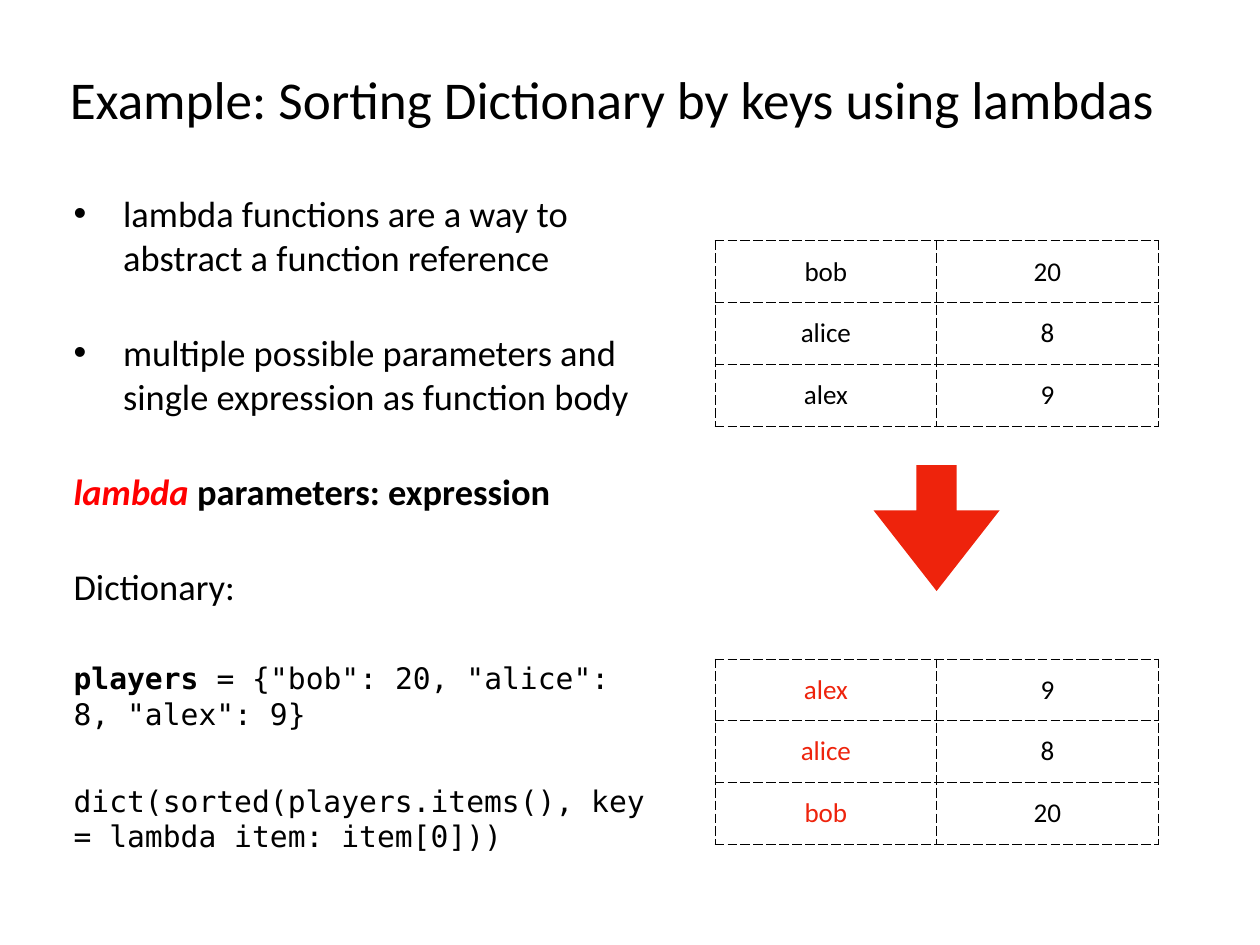
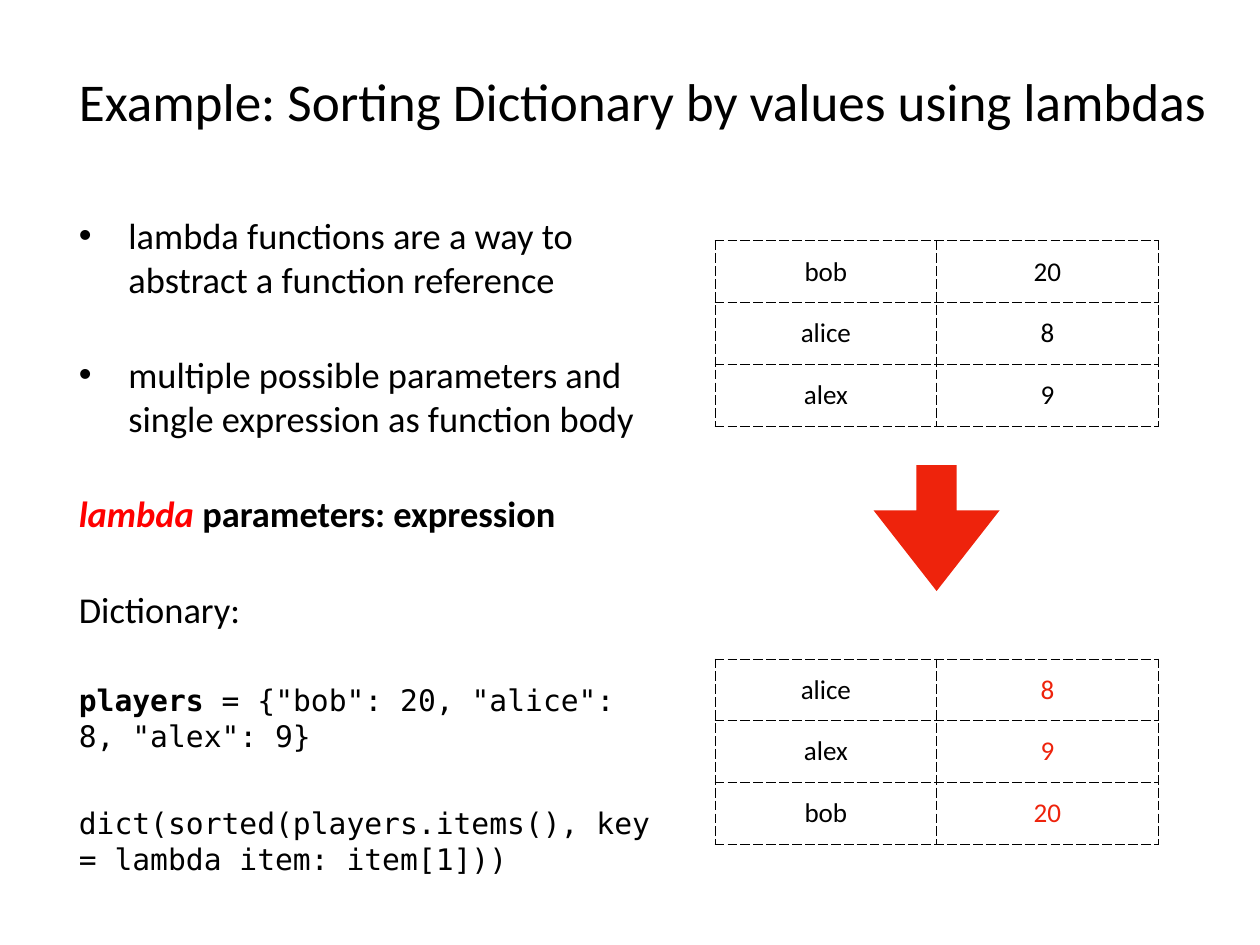
import dataclasses

import lxml.etree
import pptx
import pptx.dml.color
import pptx.enum.shapes
import pptx.enum.text
import pptx.oxml.ns
import pptx.util

Cm = pptx.util.Cm
Pt = pptx.util.Pt
qn = pptx.oxml.ns.qn


@dataclasses.dataclass(frozen=True)
class Theme:
    ink: str = "000000"
    accent: str = "EE230C"
    keyword: str = "FF0000"
    text_font: str = "Calibri"
    code_font: str = "DejaVu Sans Mono"
    title_size: float = 43.2
    body_size: float = 29.6
    code_size: float = 24.1
    cell_size: float = 22
    paragraph_gap: float = 42
    border_width: float = 1
    inset: float = 0.15
    bullet_indent: float = 1.42


@dataclasses.dataclass(frozen=True)
class Span:
    text: str
    code: bool = False
    bold: bool = False
    italic: bool = False
    color: str = ""


THEME = Theme()
PLAYERS = [("bob", 20), ("alice", 8), ("alex", 9)]
TABLE_LEFT, COLUMN_WIDTH, ROW_HEIGHT = 20.5, 6.35, 1.77
UNSORTED_TOP, SORTED_TOP = 6.91, 18.9
ARROW_TOP, ARROW_SIDE = 13.34, 3.61


def style_font(font, size, name=THEME.text_font, color=THEME.ink):
    font.size = Pt(size)
    font.name = name
    font.color.rgb = pptx.dml.color.RGBColor.from_string(color)


def set_insets(target):
    for side in ("left", "top", "right", "bottom"):
        setattr(target, f"margin_{side}", Cm(THEME.inset))


def add_title(page, text, left, top, width):
    box = page.shapes.title
    box.left, box.top, box.width, box.height = Cm(left), Cm(top), Cm(width), Cm(2.51)
    frame = box.text_frame
    frame.text = text
    frame.word_wrap = True
    frame.auto_size = pptx.enum.text.MSO_AUTO_SIZE.NONE
    frame.vertical_anchor = pptx.enum.text.MSO_ANCHOR.MIDDLE
    set_insets(frame)
    para = frame.paragraphs[0]
    para.alignment = pptx.enum.text.PP_ALIGN.LEFT
    style_font(para.runs[0].font, THEME.title_size)


def add_bullet(para):
    properties = para._p.get_or_add_pPr()
    indent = Cm(THEME.bullet_indent)
    properties.set("marL", str(indent))
    properties.set("indent", str(-indent))
    lxml.etree.SubElement(properties, qn("a:buFont")).set("typeface", "Arial")
    lxml.etree.SubElement(properties, qn("a:buChar")).set("char", "•")


def add_span(para, span):
    run = para.add_run()
    run.text = span.text
    size, name = (
        (THEME.code_size, THEME.code_font)
        if span.code
        else (THEME.body_size, THEME.text_font)
    )
    style_font(run.font, size, name, span.color or THEME.ink)
    run.font.bold = span.bold
    run.font.italic = span.italic


def add_body(page, left, top, item_index):
    content = [
        (True, [Span("lambda functions are a way to abstract a function reference")]),
        (True, [Span("multiple possible parameters and single expression as function body")]),
        (False, [
            Span("lambda ", bold=True, italic=True, color=THEME.keyword),
            Span("parameters: expression", bold=True),
        ]),
        (False, [Span("Dictionary:")]),
        (False, [
            Span("players", code=True, bold=True),
            Span(' = {"bob": 20, "alice": 8, "alex": 9}', code=True),
        ]),
        (False, [
            Span(f"dict(sorted(players.items(), key = lambda item: item[{item_index}]))", code=True),
        ]),
    ]
    box = page.shapes.add_textbox(Cm(left), Cm(top), Cm(17.04), Cm(20.19))
    frame = box.text_frame
    frame.word_wrap = True
    set_insets(frame)
    for position, (bulleted, spans) in enumerate(content):
        para = frame.add_paragraph() if position else frame.paragraphs[0]
        if position:
            para.space_before = Pt(THEME.paragraph_gap)
        if bulleted:
            add_bullet(para)
        for span in spans:
            add_span(para, span)


def add_dashed_borders(cell):
    properties = cell._tc.get_or_add_tcPr()
    for edge in ("a:lnL", "a:lnR", "a:lnT", "a:lnB"):
        line = lxml.etree.SubElement(properties, qn(edge))
        line.set("w", str(Pt(THEME.border_width)))
        fill = lxml.etree.SubElement(line, qn("a:solidFill"))
        lxml.etree.SubElement(fill, qn("a:srgbClr")).set("val", THEME.ink)
        lxml.etree.SubElement(line, qn("a:prstDash")).set("val", "dash")


def add_player_table(page, top, players, accent_column=None):
    table = page.shapes.add_table(
        len(players), 2, Cm(TABLE_LEFT), Cm(top),
        Cm(2 * COLUMN_WIDTH), Cm(len(players) * ROW_HEIGHT),
    ).table
    table.first_row = False
    table.horz_banding = False
    for row_index, player in enumerate(players):
        for column_index, value in enumerate(player):
            cell = table.cell(row_index, column_index)
            cell.text_frame.text = str(value)
            cell.vertical_anchor = pptx.enum.text.MSO_ANCHOR.MIDDLE
            set_insets(cell)
            add_dashed_borders(cell)
            cell.fill.background()
            para = cell.text_frame.paragraphs[0]
            para.alignment = pptx.enum.text.PP_ALIGN.CENTER
            color = THEME.accent if column_index == accent_column else THEME.ink
            style_font(para.runs[0].font, THEME.cell_size, color=color)


def add_down_arrow(page):
    left = TABLE_LEFT + COLUMN_WIDTH - ARROW_SIDE / 2
    arrow = page.shapes.add_shape(
        pptx.enum.shapes.MSO_SHAPE.DOWN_ARROW,
        Cm(left), Cm(ARROW_TOP), Cm(ARROW_SIDE), Cm(ARROW_SIDE),
    )
    arrow.adjustments[0] = 0.32
    arrow.adjustments[1] = 0.64
    arrow.shadow.inherit = False
    arrow.fill.solid()
    arrow.fill.fore_color.rgb = pptx.dml.color.RGBColor.from_string(THEME.accent)
    arrow.line.fill.background()


def add_sorting_page(deck, subject, item_index, title_place, body_place):
    page = deck.slides.add_slide(deck.slide_layouts.get_by_name("Title Only"))
    add_title(page, f"Example: Sorting Dictionary by {subject} using lambdas", *title_place)
    add_body(page, *body_place, item_index)
    add_player_table(page, UNSORTED_TOP, PLAYERS)
    add_down_arrow(page)
    ordered = sorted(PLAYERS, key=lambda player: player[item_index])
    add_player_table(page, SORTED_TOP, ordered, item_index)


def main():
    deck = pptx.Presentation()
    deck.slide_width, deck.slide_height = Cm(36.12), Cm(27.1)
    add_sorting_page(deck, "keys", 0, (1.85, 1.57, 34.27), (1.96, 5.33))
    add_sorting_page(deck, "values", 1, (2.11, 1.63, 33.5), (2.11, 5.97))
    deck.save("out.pptx")


if __name__ == "__main__":
    main()
